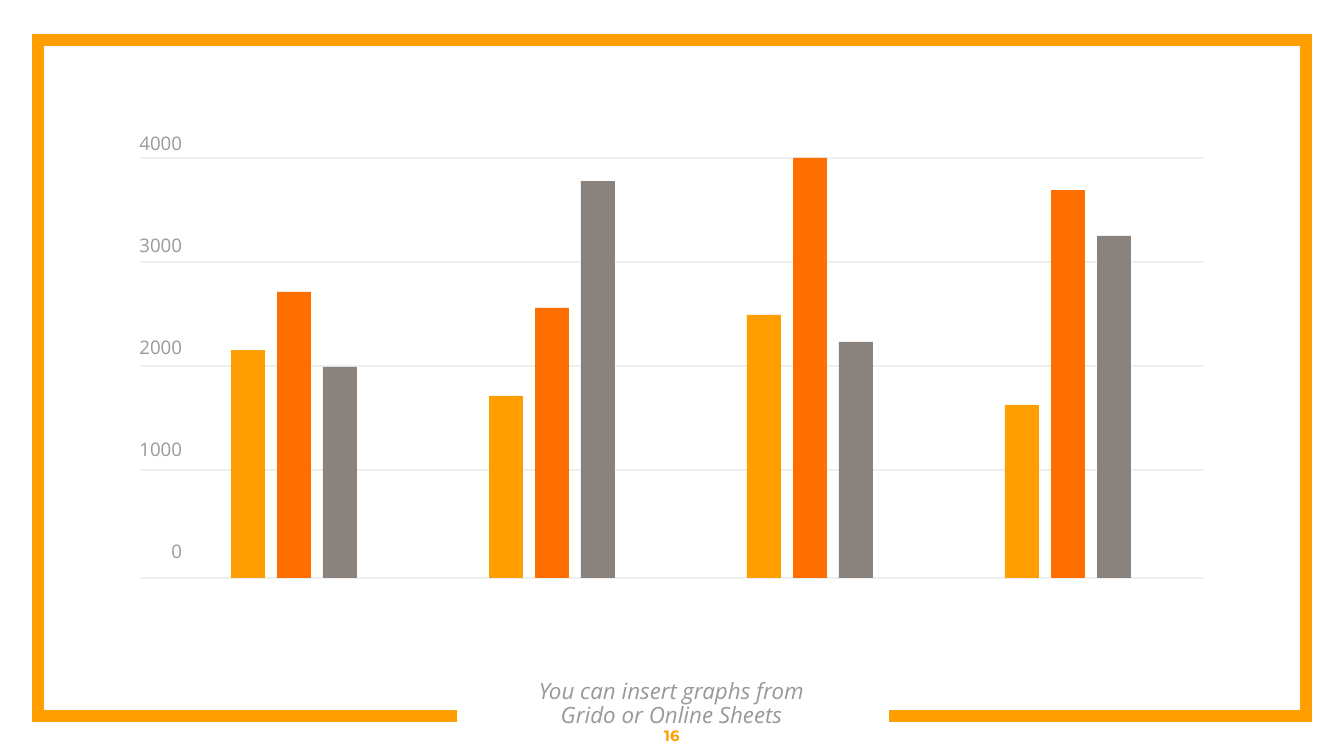
from pptx import Presentation
from pptx.dml.color import RGBColor as RGB
from pptx.enum.shapes import MSO_CONNECTOR as Conn, MSO_SHAPE as Shape
from pptx.enum.text import MSO_ANCHOR as Anchor, MSO_AUTO_SIZE as Fit, PP_ALIGN as Align
from pptx.oxml.ns import qn
from pptx.util import Pt
from lxml.etree import SubElement

WIDE, HIGH = 1344, 756
SCALE = 9144000 / WIDE
COLORS = {"amber": "FF9E00", "orange": "FF6F00", "stone": "8A827D",
          "grid": "EFEFEF", "text": "999999"}


def px(n):
    return round(n * SCALE)


class Page:
    """Holds the style and the current slide."""

    def __init__(self, deck):
        self.slide = deck.slides.add_slide(deck.slide_layouts[2])
        self.shapes = self.slide.shapes
        title = self.shapes.title.element
        title.getparent().remove(title)

    def color(self, name):
        return RGB.from_string(COLORS[name])

    def frame(self, points, color, width):
        """Draw an open outline behind everything else."""
        pen = self.shapes.build_freeform(*points[0], scale=SCALE)
        pen.add_line_segments(points[1:], close=False)
        shape = pen.convert_to_shape()
        shape.shadow.inherit = False
        shape.fill.background()
        shape.line.color.rgb = self.color(color)
        shape.line.width = Pt(width)
        outline = shape.element.spPr.find(qn("a:ln"))
        SubElement(outline, qn("a:miter"), lim="800000")
        tree = shape.element.getparent()
        tree.insert(2, shape.element)

    def line(self, left, right, y):
        rule = self.shapes.add_connector(
            Conn.STRAIGHT, px(left), px(y), px(right), px(y))
        rule.line.color.rgb = self.color("grid")
        rule.line.width = Pt(0.75)
        SubElement(rule.element.spPr, qn("a:effectLst"))

    def bar(self, left, top, width, base, color):
        rect = self.shapes.add_shape(
            Shape.RECTANGLE, px(left), px(top), px(width), px(base - top))
        rect.shadow.inherit = False
        rect.fill.solid()
        rect.fill.fore_color.rgb = self.color(color)
        rect.line.fill.background()

    def fill(self, box, lines, size, color="text", face="Open Sans", bold=False,
             italic=False, align=Align.CENTER, anchor=Anchor.MIDDLE,
             inset=13, before=0, lead=1.0):
        """Fill a text box or placeholder, one paragraph for each line."""
        frame = box.text_frame
        frame.word_wrap = True
        frame.auto_size = Fit.NONE
        frame.vertical_anchor = anchor
        frame.margin_left = frame.margin_right = px(inset)
        frame.margin_top = frame.margin_bottom = px(inset)
        frame.text = "\n".join(lines)
        for i, para in enumerate(frame.paragraphs):
            para.alignment = align
            para.line_spacing = lead
            para.space_before = Pt(before if i else 0)
            font = para.font
            font.name, font.size = face, Pt(size)
            font.bold, font.italic = bold, italic
            font.color.rgb = self.color(color)

    def text(self, left, top, width, height, lines, size, **style):
        box = self.shapes.add_textbox(px(left), px(top), px(width), px(height))
        self.fill(box, lines, size, **style)

    def body(self, left, top, width, height, lines, size, **style):
        box = self.slide.placeholders[1]
        box.left, box.top = px(left), px(top)
        box.width, box.height = px(width), px(height)
        self.fill(box, lines, size, **style)


def main():
    deck = Presentation()
    deck.slide_width, deck.slide_height = px(WIDE), px(HIGH)
    page = Page(deck)

    page.frame([(457, 716), (38, 716), (38, 40), (1306, 40), (1306, 716),
                (889, 716)], "amber", 6)
    page.body(456, 664, 431, 77, ["You can insert graphs from\vGrido or Online Sheets"],
              12, italic=True, anchor=Anchor.BOTTOM, lead=0.88)
    page.text(0, 716, WIDE, 40, ["16"], 8, color="amber", face="Montserrat", bold=True)

    base = 578
    for y in (158, 262, 366, 470, base):
        page.line(140, 1204, y)
    labels = [str(n) for n in range(4000, -1, -1000)]
    page.text(130, 135, 52, 445, labels, 10, align=Align.RIGHT,
              anchor=Anchor.TOP, inset=0, before=44, lead=0.88)

    groups = [(350, 292, 367), (396, 308, 181), (315, 158, 342), (405, 190, 236)]
    for i, tops in enumerate(groups):
        for j, (top, color) in enumerate(zip(tops, ("amber", "orange", "stone"))):
            page.bar(231 + 258 * i + 46 * j, top, 34, base, color)

    deck.save("out.pptx")


if __name__ == "__main__":
    main()
